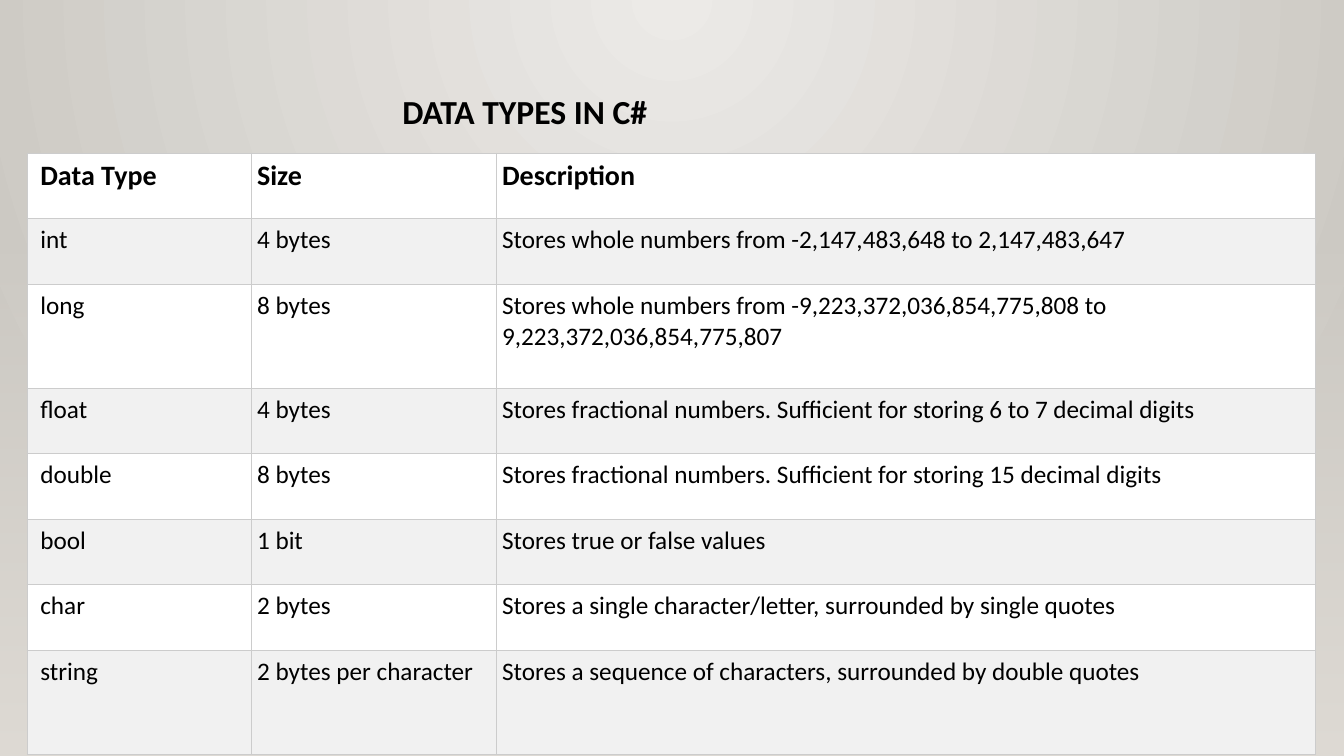
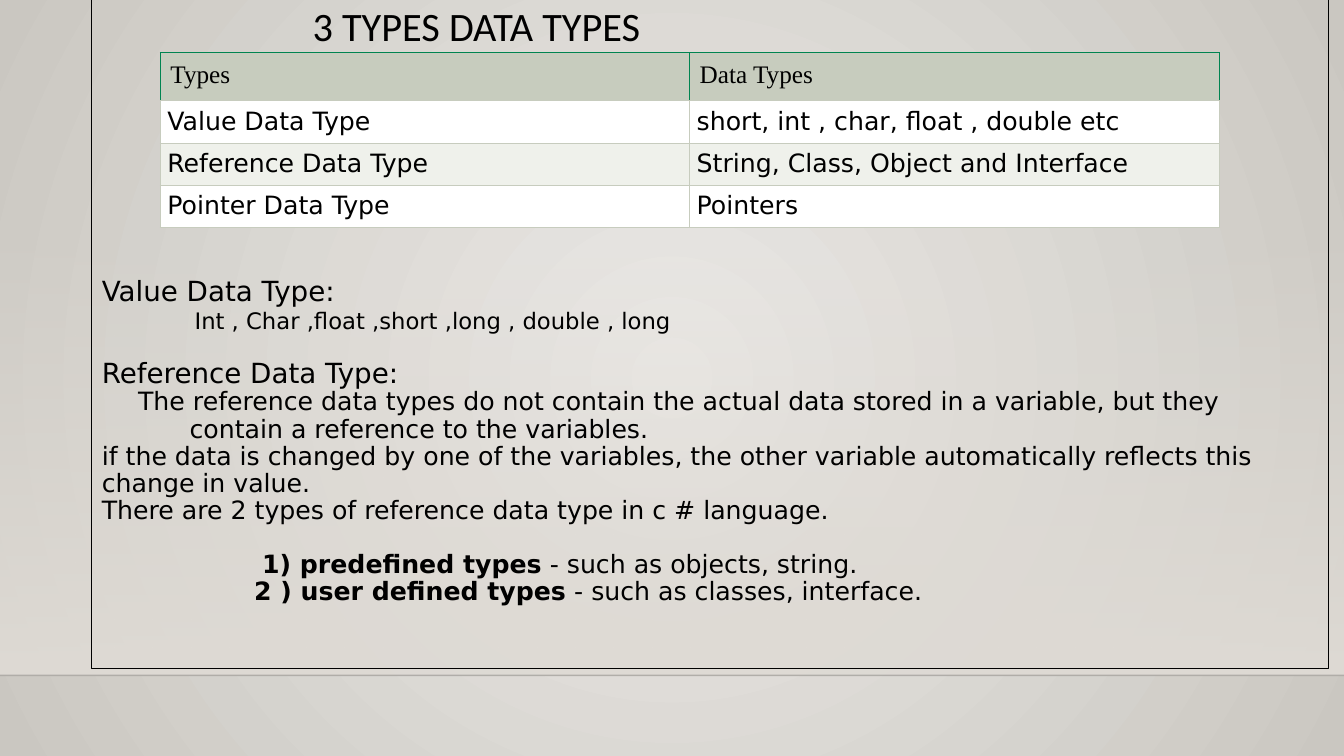
from lxml import etree
from pptx import Presentation
from pptx.dml.color import RGBColor
from pptx.enum.shapes import MSO_CONNECTOR, MSO_SHAPE
from pptx.enum.text import MSO_ANCHOR, PP_ALIGN
from pptx.oxml.ns import qn
from pptx.util import Inches, Pt

RECTANGLE = MSO_SHAPE.RECTANGLE
STRAIGHT = MSO_CONNECTOR.STRAIGHT
TOP = MSO_ANCHOR.TOP
MIDDLE = MSO_ANCHOR.MIDDLE
LEFT = PP_ALIGN.LEFT

BLACK = RGBColor(0x00, 0x00, 0x00)
WHITE = RGBColor(0xFF, 0xFF, 0xFF)
GLOW = RGBColor(0xEC, 0xEA, 0xE7)
EDGE = RGBColor(0xCA, 0xC7, 0xC1)
HAZE = RGBColor(0xDF, 0xDB, 0xD5)
BAND_GRAY = RGBColor(0xF1, 0xF1, 0xF1)
GRID_GRAY = RGBColor(0xCC, 0xCC, 0xCC)
SAGE = RGBColor(0xC7, 0xCC, 0xBE)
PALE_SAGE = RGBColor(0xEF, 0xF1, 0xEB)
GREEN = RGBColor(0x00, 0x84, 0x50)

TITLE_FONT = "Calibri"
BODY_FONT = "DejaVu Sans"
HEADER_FONT = "Times New Roman"
SLIDE_WIDTH = 13.33
SLIDE_HEIGHT = 7.5
HORIZON = 6.7
HAZE_TOP = 2.21
BODY_LINE = Pt(19.4)

DATA_TYPES = [
    ("Data Type", "Size", "Description"),
    ("int", "4 bytes", "Stores whole numbers from -2,147,483,648 to 2,147,483,647"),
    ("long", "8 bytes", "Stores whole numbers from -9,223,372,036,854,775,808 to 9,223,372,036,854,775,807"),
    ("float", "4 bytes", "Stores fractional numbers. Sufficient for storing 6 to 7 decimal digits"),
    ("double", "8 bytes", "Stores fractional numbers. Sufficient for storing 15 decimal digits"),
    ("bool", "1 bit", "Stores true or false values"),
    ("char", "2 bytes", "Stores a single character/letter, surrounded by single quotes"),
    ("string", "2 bytes per character", "Stores a sequence of characters, surrounded by double quotes"),
]

TYPE_GROUPS = [
    ("Types", "Data Types"),
    ("Value Data Type", "short, int , char, float , double etc"),
    ("Reference Data Type", "String, Class, Object and Interface"),
    ("Pointer Data Type", "Pointers"),
]

EXPLANATION = [
    ([("Value Data Type:", False)], 19.8, 0, 0, 0),
    ([("Int , Char ,float ,short ,long , double , long", False)], 16.2, 0.92, 0, 0),
    ([("Reference Data Type:", False)], 19.8, 0, 0, 19.4),
    ([("The reference data types do not contain the actual data stored in a variable, "
       "but they contain a reference to the variables.", False)], 18, 0.87, -0.51, 0),
    ([("if the data is changed by one of the variables, the other variable automatically "
       "reflects this change in value.", False)], 18, 0, 0, 0),
    ([("There are 2 types of reference data type in c # language.", False)], 18, 0, 0, 0),
    ([("1) predefined types", True), (" - such as objects, string.", False)], 18, 1.59, 0, 19.4),
    ([("2 ) user defined types", True), (" - such as classes, interface.", False)], 18, 1.51, 0, 0),
]


def write(paragraph, text, font=BODY_FONT, size=18, bold=False, color=BLACK):
    run = paragraph.add_run()
    run.text = text
    run.font.name = font
    run.font.size = Pt(size)
    run.font.bold = bold
    run.font.color.rgb = color
    paragraph.alignment = LEFT


def set_opacity(color_element, percent):
    alpha = etree.SubElement(color_element, qn("a:alpha"))
    alpha.set("val", str(percent * 1000))


def apply_gradient(fill, owner, start, end):
    fill.gradient()
    fill.gradient_angle = 270
    for stop, color, position in zip(fill.gradient_stops, (start, end), (0, 1)):
        stop.color.rgb = color
        stop.position = position
    return next(owner.iter(qn("a:gradFill")))


def set_background(slide, focus):
    gradient = apply_gradient(slide.background.fill, slide.element, GLOW, EDGE)
    linear = gradient.find(qn("a:lin"))
    circle = etree.Element(qn("a:path"))
    circle.set("path", "circle")
    target = etree.SubElement(circle, qn("a:fillToRect"))
    for side, percent in zip("ltrb", focus):
        target.set(side, str(percent * 1000))
    gradient.replace(linear, circle)


def add_rectangle(slide, left, top, width, height):
    shape = slide.shapes.add_shape(
        RECTANGLE, Inches(left), Inches(top), Inches(width), Inches(height))
    shape.shadow.inherit = False
    return shape


def add_haze(slide, bottom):
    shape = add_rectangle(slide, 0, HAZE_TOP, SLIDE_WIDTH, bottom - HAZE_TOP)
    shape.line.fill.background()
    gradient = apply_gradient(shape.fill, shape.element, HAZE, HAZE)
    set_opacity(next(gradient.iter(qn("a:srgbClr"))), 0)


def add_horizon(slide):
    line = slide.shapes.add_connector(
        STRAIGHT, 0, Inches(HORIZON), Inches(SLIDE_WIDTH), Inches(HORIZON))
    line.line.width = Pt(1)
    line.line.color.rgb = BLACK
    set_opacity(next(line.element.iter(qn("a:srgbClr"))), 20)
    etree.SubElement(line.element.spPr, qn("a:effectLst"))


def add_frame(slide):
    shape = add_rectangle(slide, 0.91, 0, 12.27, 6.63)
    shape.fill.background()
    shape.line.color.rgb = BLACK
    shape.line.width = Pt(0.75)


def add_text_frame(slide, left, top, width, height, anchor=TOP):
    box = slide.shapes.add_textbox(
        Inches(left), Inches(top), Inches(width), Inches(height))
    frame = box.text_frame
    frame.word_wrap = True
    frame.vertical_anchor = anchor
    frame.margin_left = frame.margin_right = 0
    frame.margin_top = frame.margin_bottom = 0
    return frame


def add_title(slide, text, left, top, **text_format):
    frame = add_text_frame(slide, left, top, 6, 0.5, anchor=MIDDLE)
    write(frame.paragraphs[0], text, font=TITLE_FONT, **text_format)


def add_explanation(slide):
    frame = add_text_frame(slide, 1.01, 2.78, 11.89, 3.4)
    for index, (runs, size, margin, indent, space) in enumerate(EXPLANATION):
        paragraph = frame.add_paragraph() if index else frame.paragraphs[0]
        paragraph.line_spacing = BODY_LINE
        paragraph.space_before = Pt(space)
        for text, bold in runs:
            write(paragraph, text, size=size, bold=bold)
        properties = paragraph._p.get_or_add_pPr()
        properties.set("marL", str(Inches(margin)))
        properties.set("indent", str(Inches(indent)))


def set_borders(cell, colors, width):
    properties = cell._tc.get_or_add_tcPr()
    for side, color in zip("LRTB", colors):
        line = etree.SubElement(properties, qn(f"a:ln{side}"))
        line.set("w", str(Pt(width)))
        solid = etree.SubElement(line, qn("a:solidFill"))
        etree.SubElement(solid, qn("a:srgbClr")).set("val", str(color))


def add_grid(slide, rows, left, top, widths, heights):
    table = slide.shapes.add_table(
        len(rows), len(widths), Inches(left), Inches(top),
        Inches(sum(widths)), Inches(sum(heights))).table
    table.first_row = table.horz_banding = False
    for column, width in zip(table.columns, widths):
        column.width = Inches(width)
    for row, height in zip(table.rows, heights):
        row.height = Inches(height)
    return table


def fill_cell(cell, text, fill, borders, border_width, margins, **text_format):
    horizontal, vertical = margins
    cell.margin_left = cell.margin_right = Inches(horizontal)
    cell.margin_top = cell.margin_bottom = Inches(vertical)
    set_borders(cell, borders, border_width)
    cell.fill.solid()
    cell.fill.fore_color.rgb = fill
    write(cell.text_frame.paragraphs[0], text, **text_format)


def add_data_types_table(slide):
    heights = [1.03 if row[0] in ("long", "string") else 0.65 for row in DATA_TYPES]
    table = add_grid(slide, DATA_TYPES, 0.27, 1.52, (2.22, 2.43, 8.13), heights)
    for row_index, row in enumerate(DATA_TYPES):
        header = row_index == 0
        for column_index, text in enumerate(row):
            cell = table.cell(row_index, column_index)
            fill_cell(cell, text, BAND_GRAY if row_index % 2 else WHITE,
                      [GRID_GRAY] * 4, 0.75, (0.06, 0.06),
                      font=TITLE_FONT, size=20 if header else 18, bold=header)
            if column_index == 0:
                cell.margin_left = Inches(0.13)


def add_type_groups_table(slide):
    table = add_grid(slide, TYPE_GROUPS, 1.59, 0.52, (5.25, 5.25), (0.47, 0.42, 0.42, 0.42))
    for row_index, row in enumerate(TYPE_GROUPS):
        for column_index, text in enumerate(row):
            cell = table.cell(row_index, column_index)
            if row_index == 0:
                fill_cell(cell, text, SAGE, [GREEN, GREEN, GREEN, SAGE], 0.6,
                          (0.1, 0.09), font=HEADER_FONT)
            else:
                fill_cell(cell, text, WHITE if row_index % 2 else PALE_SAGE,
                          [SAGE] * 4, 0.6, (0.07, 0.06))


def build_data_types_slide(slide):
    set_background(slide, (43, 0, 43, 100))
    add_haze(slide, SLIDE_HEIGHT)
    add_title(slide, "DATA TYPES IN C#", 3.99, 0.85, size=24, bold=True)
    add_data_types_table(slide)


def build_type_groups_slide(slide):
    set_background(slide, (50, 50, 50, 50))
    add_haze(slide, HORIZON)
    add_horizon(slide)
    add_frame(slide)
    add_title(slide, "3 TYPES DATA TYPES", 3.1, 0, size=28.8)
    add_explanation(slide)
    add_type_groups_table(slide)


def main():
    presentation = Presentation()
    presentation.slide_width = Inches(SLIDE_WIDTH)
    presentation.slide_height = Inches(SLIDE_HEIGHT)
    blank = presentation.slide_layouts[6]
    for build in (build_data_types_slide, build_type_groups_slide):
        build(presentation.slides.add_slide(blank))
    presentation.save("out.pptx")


if __name__ == "__main__":
    main()
